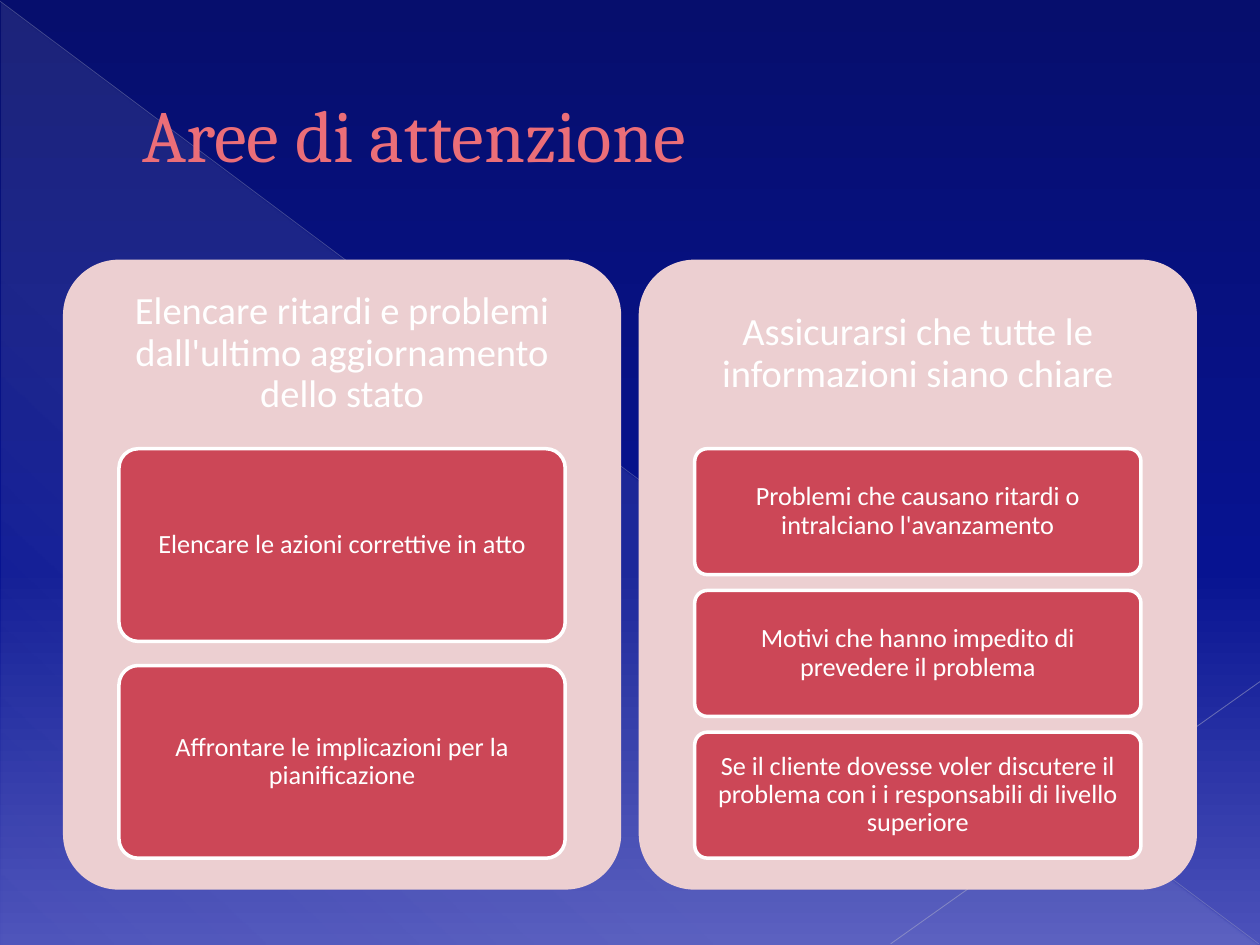
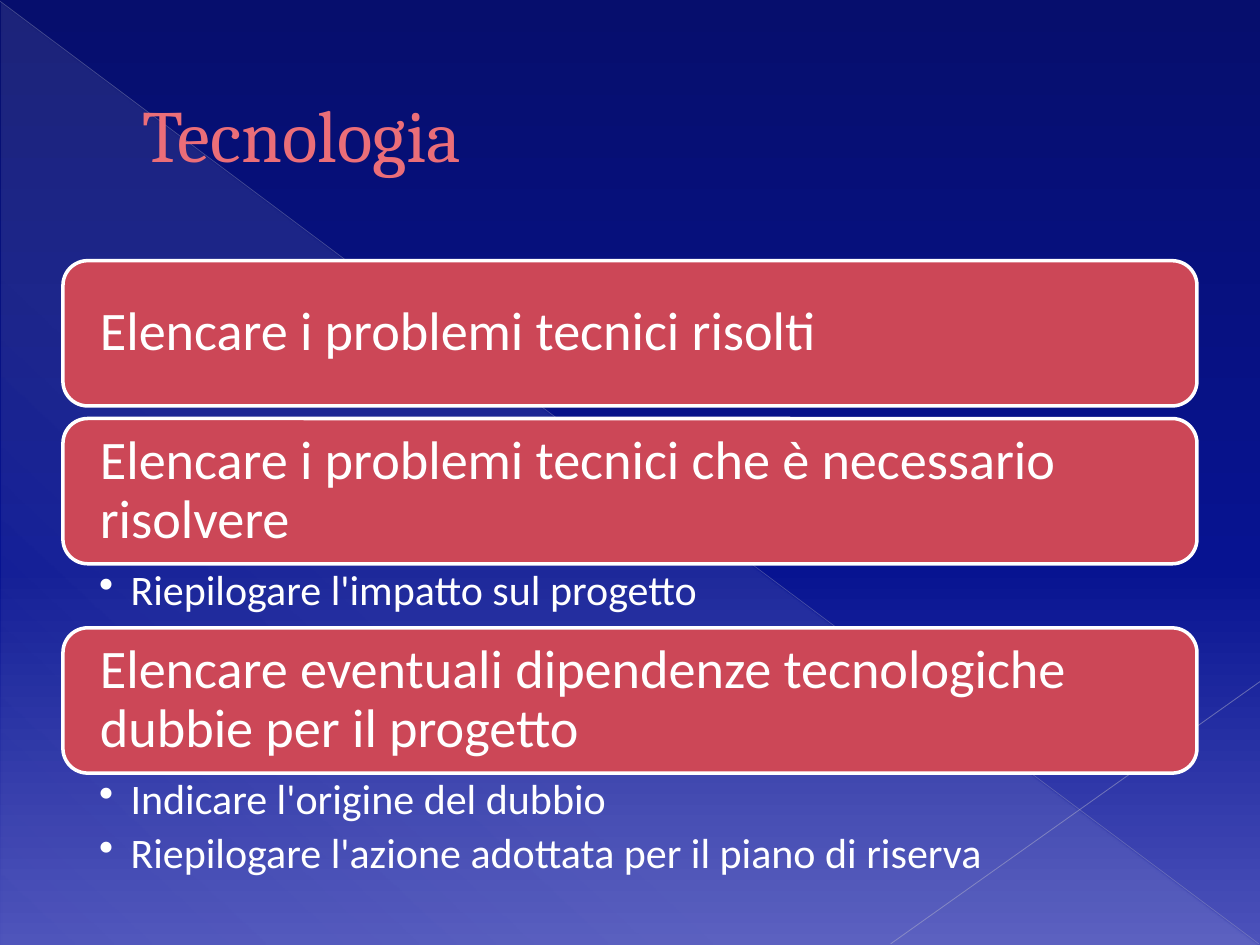
from lxml.etree import SubElement
from pptx import Presentation
from pptx.dml.color import RGBColor
from pptx.enum.shapes import MSO_CONNECTOR, MSO_SHAPE
from pptx.enum.text import MSO_ANCHOR, MSO_AUTO_SIZE, PP_ALIGN
from pptx.oxml.ns import qn
from pptx.util import Pt

# Content
AREAS = ("Aree di attenzione", [
    ("Elencare ritardi e problemi dall'ultimo aggiornamento dello stato", [
        "Elencare le azioni correttive in atto",
        "Affrontare le implicazioni per la pianificazione"]),
    ("Assicurarsi che tutte le informazioni siano chiare", [
        "Problemi che causano ritardi o intralciano l'avanzamento",
        "Motivi che hanno impedito di prevedere il problema",
        "Se il cliente dovesse voler discutere il problema con i i "
        "responsabili di livello superiore"]),
])
TECH = ("Tecnologia", [
    ("Elencare i problemi tecnici risolti", []),
    ("Elencare i problemi tecnici che è necessario risolvere",
     ["Riepilogare l'impatto sul progetto"]),
    ("Elencare eventuali dipendenze tecnologiche dubbie per il progetto",
     ["Indicare l'origine del dubbio",
      "Riepilogare l'azione adottata per il piano di riserva"]),
])

# Shared look
HEX = {"title": "EB6E78", "edge": "8D313C", "panel": "ECCFD1", "card": "CC4757",
       "white": "FFFFFF", "long": "B1B2C7", "short": "BABACD"}
SKY = [(0, "060E6D", 100), (60, "071391", 100), (100, "4C52BA", 100)]
GLOW = [(0, "FFFFFF", 10), (70, "FFFFFF", 8), (100, "FFFFFF", 1)]
RAYS = [((0, 0.7), (719.3, 539.3), "long", 0.39, 35),
        ((720, 389.5), (509, 539.3), "short", 0.47, 45)]
LEFT, WIDE = 36, 648

# Text styles: size, alignment, anchor, space after (share of size), insets
HEAD = (22, PP_ALIGN.CENTER, MSO_ANCHOR.MIDDLE, 0.35, (33, 12.2, 33, 12.2))
CARD = (15, PP_ALIGN.CENTER, MSO_ANCHOR.MIDDLE, 0.35, (8.4, 8.4, 8.4, 8.4))
BAR = (31, PP_ALIGN.LEFT, MSO_ANCHOR.MIDDLE, 0.35, (17, 3, 17, 3))
NOTE = (24, PP_ALIGN.LEFT, MSO_ANCHOR.TOP, 0.2, (20.6, 3, 17, 3))


def rgb(name):
    return RGBColor.from_string(HEX[name])


def put(item, values):
    for key, value in values.items():
        setattr(item, key, value)


def tint(node, code, alpha):
    color = SubElement(node, qn("a:srgbClr"), val=code)
    if alpha < 100:
        SubElement(color, qn("a:alpha"), val=str(alpha * 1000))


def blend(fill, root, stops, angle):
    fill.gradient()
    grad = next(root.iter(qn("a:gradFill")))
    grad.find(qn("a:lin")).set("ang", str(angle * 60000))
    steps = grad.find(qn("a:gsLst"))
    for old in list(steps):
        steps.remove(old)
    for at, code, alpha in stops:
        tint(SubElement(steps, qn("a:gs"), pos=str(at * 1000)), code, alpha)


def write(shape, lines, style):
    size, align, anchor, after, inset = style
    frame = shape.text_frame
    sides = ("margin_left", "margin_top", "margin_right", "margin_bottom")
    put(frame, {"word_wrap": True, "vertical_anchor": anchor,
                **{side: Pt(gap) for side, gap in zip(sides, inset)}})
    for i, line in enumerate(lines):
        para = frame.add_paragraph() if i else frame.paragraphs[0]
        put(para, {"alignment": align, "line_spacing": 0.9,
                   "space_after": Pt(size * after)})
        run = para.add_run()
        run.text = line
        put(run.font, {"size": Pt(size), "name": "Calibri"})
        run.font.color.rgb = rgb("white")
    return frame


def round_box(slide, box, color, curve, edge=True):
    shape = slide.shapes.add_shape(MSO_SHAPE.ROUNDED_RECTANGLE, *map(Pt, box))
    shape.adjustments[0] = curve
    shape.shadow.inherit = False
    shape.fill.solid()
    shape.fill.fore_color.rgb = rgb(color)
    if edge:
        shape.line.color.rgb = rgb("white")
        shape.line.width = Pt(2)
    else:
        shape.line.fill.background()
    return shape


def text_box(slide, box, lines, style):
    return write(slide.shapes.add_textbox(*map(Pt, box)), lines, style)


def start(deck, text):
    slide = deck.slides.add_slide(deck.slide_layouts[5])
    # Pale triangle and thin rays
    glow = slide.shapes.add_shape(MSO_SHAPE.RIGHT_TRIANGLE,
                                  *map(Pt, (0.7, 1.4, 718.6, 538.6)))
    glow.shadow.inherit = False
    glow.line.fill.background()
    blend(glow.fill, glow.element, GLOW, 133)
    for tail, head, color, width, alpha in RAYS:
        ray = slide.shapes.add_connector(MSO_CONNECTOR.STRAIGHT,
                                         *map(Pt, tail + head))
        ray.line.width = Pt(width)
        ray.line.fill.solid()
        fill = ray.element.spPr.find(qn("a:ln")).find(qn("a:solidFill"))
        for old in list(fill):
            fill.remove(old)
        tint(fill, HEX[color], alpha)
        SubElement(ray.element.spPr, qn("a:effectLst"))
    # Title, in front of the scenery
    title = slide.shapes.title
    slide.shapes.element.append(title.element)
    put(title, {"left": Pt(LEFT), "top": Pt(21), "width": Pt(WIDE), "height": Pt(110)})
    put(title.text_frame, {"text": text, "vertical_anchor": MSO_ANCHOR.MIDDLE,
                           "auto_size": MSO_AUTO_SIZE.NONE})
    para = title.text_frame.paragraphs[0]
    para.alignment = PP_ALIGN.LEFT
    put(para.element if hasattr(para, "element") else para._p.get_or_add_pPr(), {})
    para._p.get_or_add_pPr().set("marL", str(Pt(38)))
    para._p.get_or_add_pPr().set("indent", "0")
    font = para.runs[0].font
    put(font, {"size": Pt(42), "name": "Cambria"})
    font.color.rgb = rgb("title")
    edge = SubElement(para.runs[0]._r.get_or_add_rPr(), qn("a:ln"), w=str(Pt(0.5)))
    tint(SubElement(edge, qn("a:solidFill")), HEX["edge"], 100)
    edge.getparent().insert(0, edge)
    return slide


def areas(deck):
    title, groups = AREAS
    slide = start(deck, title)
    top, gap, inset, room = 148.4, 10, 32, 234
    width = (WIDE - gap) / len(groups)
    for col, (head, cards) in enumerate(groups):
        left = LEFT + col * (width + gap)
        round_box(slide, (left, top, width, 360), "panel", 0.1, edge=False)
        text_box(slide, (left + 3, top + 3, width - 6, 101.5), [head], HEAD)
        # Cards share the room, with gaps of one eighth of a card
        count = len(cards)
        high = room / (count + (count - 1) / 8)
        for row, card in enumerate(cards):
            box = (left + inset, top + 108 + row * high * 9 / 8,
                   width - 2 * inset, high)
            write(round_box(slide, box, "card", 0.1), [card], CARD)


def tech(deck):
    title, bars = TECH
    slide = start(deck, title)
    top, high, gap = 149, 83, 7.2
    for text, notes in bars:
        bar = round_box(slide, (LEFT, top, WIDE, high), "card", 0.17)
        write(bar, [text], BAR)
        top += high
        if not notes:
            top += gap
            continue
        # Bulleted notes below the bar
        room = 7.8 + 28.8 * len(notes)
        frame = text_box(slide, (LEFT, top, WIDE, room), notes, NOTE)
        for para in frame.paragraphs:
            props = para._p.get_or_add_pPr()
            props.set("marL", str(Pt(18)))
            props.set("indent", str(-Pt(18)))
            SubElement(props, qn("a:buChar"), char="•")
        top += room


def main():
    deck = Presentation()
    put(deck, {"slide_width": Pt(720), "slide_height": Pt(540)})
    master = deck.slide_master
    blend(master.background.fill, master.element, SKY, 90)
    areas(deck)
    tech(deck)
    deck.save("out.pptx")


if __name__ == "__main__":
    main()
